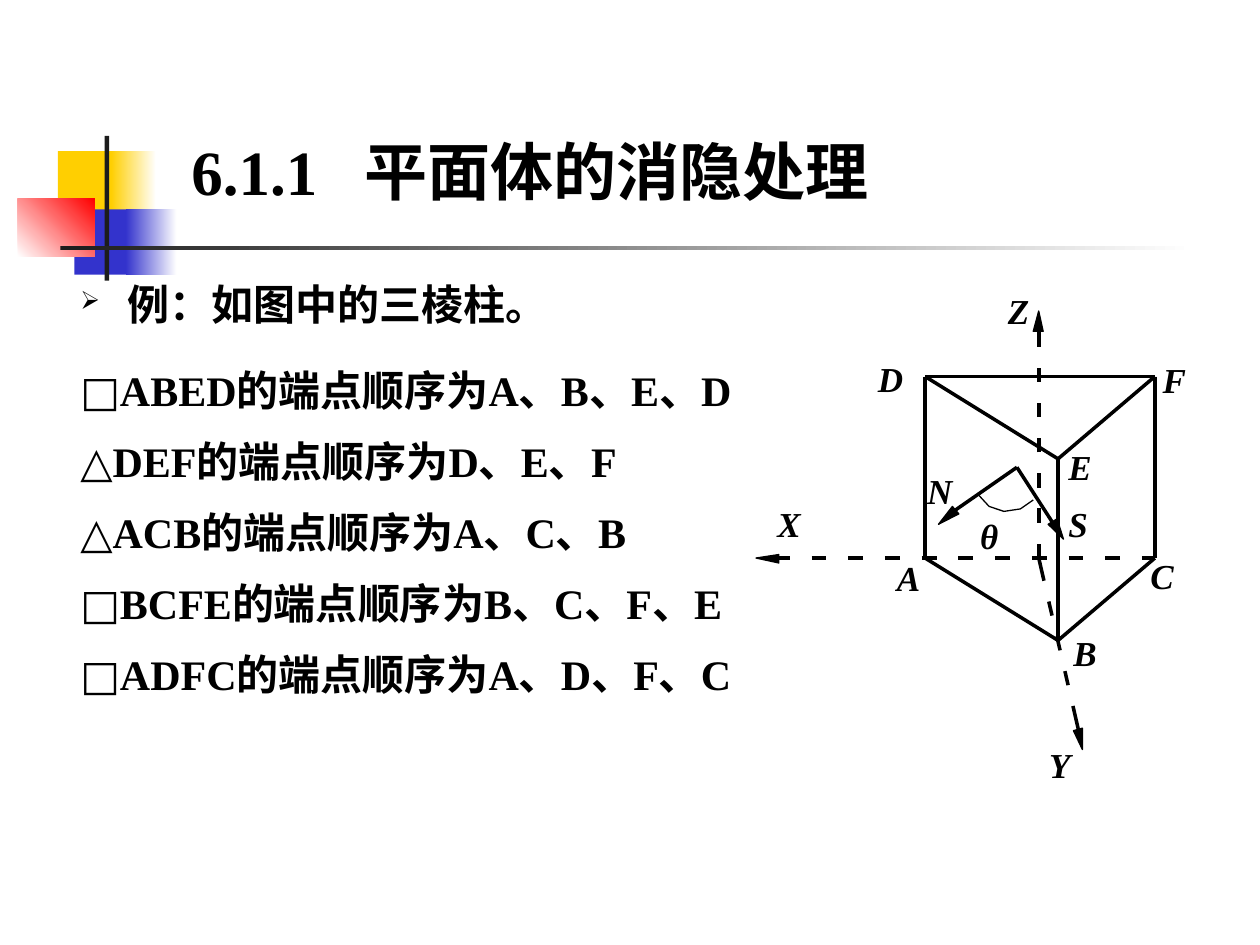
from itertools import combinations
from math import dist

from lxml import etree
from pptx import Presentation
from pptx import util as u
from pptx.dml.color import RGBColor
from pptx.enum import shapes, text
from pptx.oxml.ns import qn

# Content; every place and length is in centimetres
TITLE = ("6.1.1", "平面体的消隐处理")
LEAD = "例：如图中的三棱柱。"
FACES = [("□", "ABED", "A、B、E、D"), ("△", "DEF", "D、E、F"), ("△", "ACB", "A、C、B"),
         ("□", "BCFE", "B、C、F、E"), ("□", "ADFC", "A、D、F、C")]

# left, top, width, height, colours (two make a gradient), gradient angle
ORNAMENT = [
    (1.17, 3.05, 1.22, 1.32, ["yellow"], 0),
    (2.24, 3.05, 0.91, 1.32, ["yellow", "white"], 0),
    (1.5, 4.22, 1.17, 1.32, ["blue"], 0),
    (2.54, 4.22, 1.02, 1.32, ["blue", "white"], 0),
    (0.36, 4.01, 1.55, 1.17, ["white", "red"], 45),
    (2.11, 2.74, 0.09, 2.92, ["dark"], 0),
    (1.22, 4.95, 22.86, 0.09, ["dark", "white"], 0),
]
PRISM_TOP = {"D": (18.65, 7.59), "F": (23.28, 7.59), "E": (21.33, 9.25)}
PRISM_BASE = {"D": "A", "F": "C", "E": "B"}
PRISM_HEIGHT = 3.66
HIDDEN_EDGE = {"A", "C"}
ORIGIN = (20.94, 11.25)
# start, end, offset of first dash, pitch, dash length, number of dashes
AXES = [
    (ORIGIN, (20.94, 6.68), 0, 0.71, 0.29, 7),
    ((15.7, 11.25), (23.28, 11.25), -0.08, 0.74, 0.3, 11),
    (ORIGIN, (21.74, 14.71), 0.18, 0.72, 0.29, 5),
]
VECTOR_START = (20.5, 9.42)
VECTOR_ENDS = [(19.25, 10.29), (21.21, 10.52)]
ANGLE_ARC = [(19.71, 9.96), (19.94, 10.21), (20.24, 10.31), (20.57, 10.26), (20.83, 10.08)]
ARROWHEADS = [
    [(20.83, 6.68), (20.94, 6.27), (21.03, 6.68)],
    [(15.7, 11.35), (15.24, 11.25), (15.7, 11.18)],
    [(19.33, 10.36), (18.92, 10.57), (19.2, 10.21)],
    [(21.31, 10.46), (21.44, 10.87), (21.13, 10.57)],
    [(21.82, 14.68), (21.82, 15.11), (21.64, 14.73)],
]
# letter, left, top, width
LABELS = [
    ("A", 17.83, 11.1, 2.29), ("B", 21.39, 12.6, 2.29), ("C", 22.94, 11.05, 1.91),
    ("D", 17.45, 7.09, 2.29), ("E", 21.29, 8.86, 1.91), ("F", 23.19, 7.11, 1.91),
    ("X", 15.42, 10.01, 1.91), ("Z", 20.07, 5.72, 2.29), ("Y", 20.9, 14.86, 2.29),
    ("N", 18.44, 9.35, 1.91), ("S", 21.29, 10.01, 1.52), ("θ", 19.51, 10.24, 2.29),
]
LABEL_HEIGHT = 1.65

THEME = {
    "colours": {"ink": "000000", "white": "FFFFFF", "yellow": "FFCF01",
                "blue": "3333CC", "red": "FF0000", "dark": "1C1C1C"},
    "latin": "Times New Roman", "cjk": "Noto Sans CJK SC", "symbol": "Roboto",
    "title": {"size": u.Pt(36), "bold": True},
    "body": {"size": u.Pt(24), "bold": True},
    "label": {"size": u.Pt(20), "bold": True, "italic": True},
}


def colour(name):
    return RGBColor.from_string(THEME["colours"][name])


def cm(*values):
    return [u.Cm(value) for value in values]


def apply(target, values):
    for name, value in values.items():
        setattr(target, name, value)


def add_box(page, *place):
    frame = page.shapes.add_textbox(*cm(*place)).text_frame
    frame.word_wrap = True
    return frame


def add_span(para, words, style, latin=THEME["latin"], cjk=THEME["cjk"]):
    span = para.add_run()
    span.text = words
    apply(span.font, {**THEME[style], "name": latin})
    span.font.color.rgb = colour("ink")
    span.font._element.find(qn("a:latin")).addnext(
        etree.Element(qn("a:ea"), typeface=cjk))


def add_line(page, start, end):
    line = page.shapes.add_connector(shapes.MSO_CONNECTOR.STRAIGHT, *cm(*start, *end))
    line.line.color.rgb = colour("ink")
    line.line.width = 0
    etree.SubElement(line._element.spPr, qn("a:effectLst"))


def add_outline(page, points, filled):
    first, *rest = [cm(*point) for point in points]
    builder = page.shapes.build_freeform(*first)
    builder.add_line_segments(rest, close=filled)
    outline = builder.convert_to_shape()
    outline.shadow.inherit = False
    outline.line.color.rgb = colour("ink")
    outline.line.width = 0
    if filled:
        outline.fill.solid()
        outline.fill.fore_color.rgb = colour("ink")
    else:
        outline.fill.background()


def add_dashes(page, start, end, offset, pitch, length, count):
    total = dist(start, end)

    def point(along):
        return [a + (b - a) * along / total for a, b in zip(start, end)]

    for i in range(count):
        near = offset + i * pitch if i else 0
        far = offset + i * pitch + length if i < count - 1 else total
        add_line(page, point(near), point(far))


def add_ornament(page):
    for *place, names, angle in ORNAMENT:
        block = page.shapes.add_shape(shapes.MSO_SHAPE.RECTANGLE, *cm(*place))
        block.shadow.inherit = False
        block.line.fill.background()
        if len(names) == 1:
            block.fill.solid()
            block.fill.fore_color.rgb = colour(names[0])
        else:
            block.fill.gradient()
            block.fill.gradient_angle = angle
            for stop, name in zip(block.fill.gradient_stops, names):
                stop.color.rgb = colour(name)


def add_texts(page):
    # Title, with a tab stop between number and heading
    para = add_box(page, 3.61, 2.54, 19.05, 1.78).paragraphs[0]
    add_span(para, "\t".join(TITLE), "title")
    stops = etree.SubElement(para._p.get_or_add_pPr(), qn("a:tabLst"))
    etree.SubElement(stops, qn("a:tab"), pos=str(u.Cm(3.48)), algn="l")

    # Lead line with bullet, then one line per face
    frame = add_box(page, 1.37, 5.28, 22.96, 11.43)
    for i in range(len(FACES) + 1):
        para = frame.add_paragraph() if i else frame.paragraphs[0]
        apply(para, {"line_spacing": 1.2, "space_before": u.Pt(15 if i == 1 else 6)})
        props = para._p.get_or_add_pPr()
        props.set("marL", str(u.Cm(0.95)))
        props.set("indent", str(-u.Cm(0.95)))
        if i:
            symbol, face, order = FACES[i - 1]
            add_span(para, symbol, "body", THEME["symbol"], THEME["symbol"])
            add_span(para, f"{face}的端点顺序为{order}", "body")
        else:
            tint = etree.SubElement(props, qn("a:buClr"))
            etree.SubElement(tint, qn("a:srgbClr"), val=THEME["colours"]["ink"])
            etree.SubElement(props, qn("a:buSzPct"), val="60000")
            etree.SubElement(props, qn("a:buChar"), char="➢")
            add_span(para, LEAD, "body", THEME["cjk"])


def add_diagram(page):
    # Prism edges; the rear base edge lies on the dashed axis
    base = {PRISM_BASE[name]: (x, y + PRISM_HEIGHT) for name, (x, y) in PRISM_TOP.items()}
    corners = {**PRISM_TOP, **base}
    edges = [*combinations(PRISM_TOP, 2), *combinations(base, 2), *PRISM_BASE.items()]
    for edge in edges:
        if set(edge) != HIDDEN_EDGE:
            add_line(page, *(corners[name] for name in edge))

    # Axes, vectors and the angle between them
    for axis in AXES:
        add_dashes(page, *axis)
    for end in VECTOR_ENDS:
        add_line(page, VECTOR_START, end)
    add_outline(page, ANGLE_ARC, filled=False)
    for head in ARROWHEADS:
        add_outline(page, head, filled=True)

    # Letters
    for letter, left, top, width in LABELS:
        para = add_box(page, left, top, width, LABEL_HEIGHT).paragraphs[0]
        para.alignment = text.PP_ALIGN.JUSTIFY
        add_span(para, letter, "label")


def main():
    deck = Presentation()
    apply(deck, {"slide_width": u.Cm(25.4), "slide_height": u.Cm(19.05)})
    page = deck.slides.add_slide(deck.slide_layouts[6])
    add_ornament(page)
    add_texts(page)
    add_diagram(page)
    deck.save("out.pptx")


if __name__ == "__main__":
    main()
